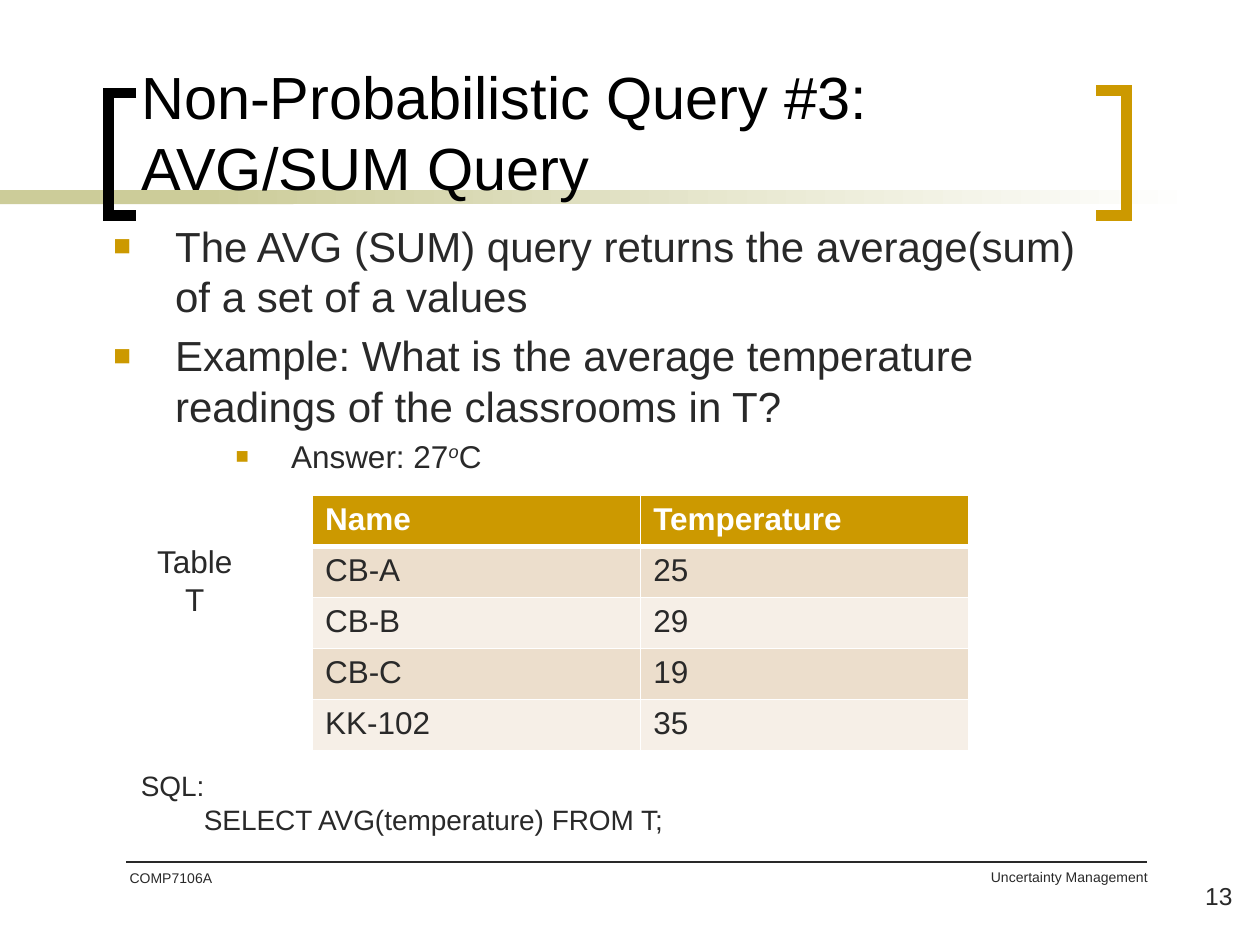
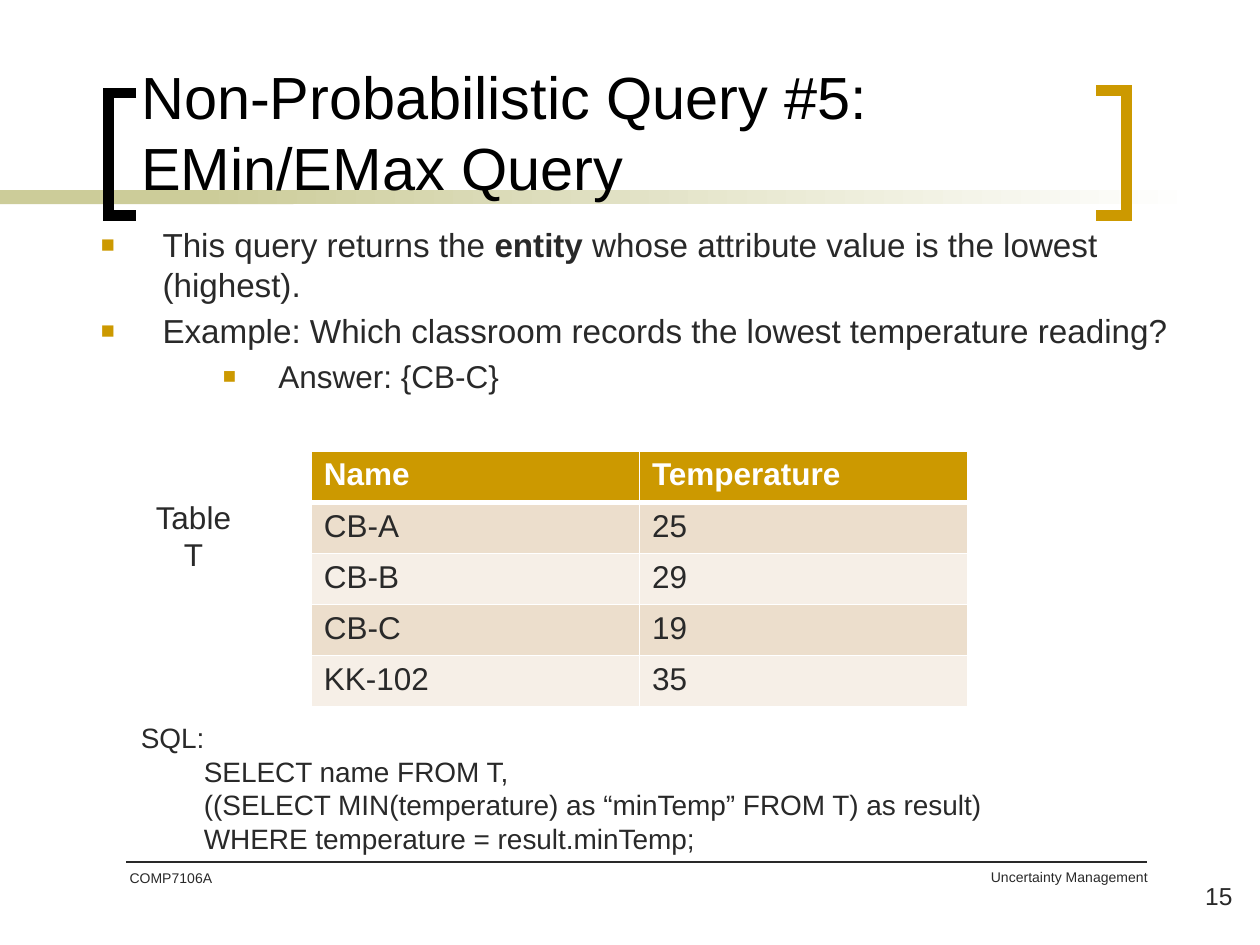
import pptx
import pptx.dml.color
import pptx.enum.shapes
import pptx.enum.text
import pptx.oxml
import pptx.oxml.ns
import pptx.util
from dataclasses import dataclass
from typing import NamedTuple

Inches = pptx.util.Inches
Pt = pptx.util.Pt
Align = pptx.enum.text.PP_ALIGN
Fit = pptx.enum.text.MSO_AUTO_SIZE
qn = pptx.oxml.ns.qn
NS = pptx.oxml.ns.nsdecls("a")

FONT = "Arial"
INK = "292929"
BLACK = "000000"
WHITE = "FFFFFF"
GOLD = "CC9900"
OLIVE = "CCCC99"
BANDS = ("F6EFE7", "ECDECC")

ROWS = (
    ("Name", "Temperature"),
    ("CB-A", "25"),
    ("CB-B", "29"),
    ("CB-C", "19"),
    ("KK-102", "35"),
)


class Box(NamedTuple):
    left: float
    top: float
    width: float
    height: float

    def place(self) -> tuple:
        return tuple(Inches(side) for side in self)


class Phrase(NamedTuple):
    text: str
    bold: bool = False
    raised: bool = False


@dataclass
class Point:
    phrases: list[Phrase]
    size: float
    nested: bool = False


@dataclass
class Label:
    box: Box
    lines: list[str]
    size: float
    align: Align = Align.LEFT
    wrap: bool = True
    fit: Fit = Fit.NONE
    indent: float = 0


@dataclass
class Bracket:
    tip: float
    edge: float
    top: float
    color: str


@dataclass
class Query:
    number: int
    name: str
    page: int
    body: Box
    points: list[Point]
    table: Box
    code_top: float
    code_height: float
    code: list[str]


BRACKETS = (Bracket(1.08, 0.86, 0.74, BLACK), Bracket(8.7, 8.94, 0.72, GOLD))
FOOTERS = (
    Label(Box(5.07, 6.84, 4.14, 0.5), ["Uncertainty Management"], 8, Align.RIGHT),
    Label(Box(0.93, 6.85, 1.17, 0.5), ["COMP7106A"], 8),
)

QUERIES = (
    Query(
        3, "AVG/SUM", 13, Box(0.8, 1.7, 8.02, 2.19),
        [
            Point([Phrase("The AVG (SUM) query returns the average(sum) of a set of a values")], 24),
            Point([Phrase("Example: What is the average temperature readings of the classrooms in T?")], 24),
            Point([Phrase("Answer: 27"), Phrase("o", raised=True), Phrase("C")], 18, True),
        ],
        Box(2.48, 3.93, 5.21, 2.03), 6.05, 0.64,
        ["SELECT AVG(temperature) FROM T;"],
    ),
    Query(
        5, "EMin/EMax", 15, Box(0.7, 1.73, 8.71, 1.67),
        [
            Point([Phrase("This query returns the "), Phrase("entity ", bold=True),
                   Phrase("whose attribute value is the lowest (highest).")], 19),
            Point([Phrase("Example: Which classroom records the lowest temperature reading?")], 19),
            Point([Phrase("Answer: {CB-C}")], 18, True),
        ],
        Box(2.47, 3.58, 5.21, 2.03), 5.67, 1.18,
        [
            "SELECT name FROM T,",
            "((SELECT MIN(temperature) as “minTemp” FROM T) as result)",
            "WHERE temperature = result.minTemp;",
        ],
    ),
)


def rgb(code: str) -> pptx.dml.color.RGBColor:
    return pptx.dml.color.RGBColor.from_string(code)


def style(font, size: float, color: str = INK, bold: bool = False) -> None:
    font.name = FONT
    font.size = Pt(size)
    font.bold = bold
    font.color.rgb = rgb(color)


def add_label(slide, label: Label) -> None:
    frame = slide.shapes.add_textbox(*label.box.place()).text_frame
    frame.word_wrap = label.wrap
    frame.auto_size = label.fit
    frame.text = "\n".join(label.lines)
    for index, para in enumerate(frame.paragraphs):
        para.alignment = label.align
        if index and label.indent:
            para._p.get_or_add_pPr().set("marL", str(Inches(label.indent)))
        for run in para.runs:
            style(run.font, label.size)


def add_band(slide, box: Box, fade: bool) -> None:
    band = slide.shapes.add_shape(pptx.enum.shapes.MSO_SHAPE.RECTANGLE, *box.place())
    band.shadow.inherit = False
    band.line.fill.background()
    if fade:
        band.fill.gradient()
        band.fill.gradient_angle = 0
        for stop, color in zip(band.fill.gradient_stops, (OLIVE, WHITE)):
            stop.color.rgb = rgb(color)
    else:
        band.fill.solid()
        band.fill.fore_color.rgb = rgb(OLIVE)


def add_bracket(slide, item: Bracket) -> None:
    tip, edge, top, base = (Inches(n) for n in (item.tip, item.edge, item.top, 1.71))
    outline = slide.shapes.build_freeform(tip, top)
    outline.add_line_segments([(edge, top), (edge, base), (tip, base)], close=False)
    shape = outline.convert_to_shape()
    shape.shadow.inherit = False
    shape.fill.background()
    shape.line.color.rgb = rgb(item.color)
    shape.line.width = Pt(6)
    shape.element.spPr.find(qn("a:ln")).append(
        pptx.oxml.parse_xml(f'<a:miter {NS} lim="800000"/>'))


def add_frame(slide) -> None:
    add_band(slide, Box(0, 1.51, 2.33, 0.11), False)
    add_band(slide, Box(1.58, 1.51, 7.92, 0.11), True)
    for item in BRACKETS:
        add_bracket(slide, item)
    for label in FOOTERS:
        add_label(slide, label)
    rule = slide.shapes.add_connector(
        pptx.enum.shapes.MSO_CONNECTOR.STRAIGHT,
        Inches(1), Inches(6.84), Inches(9.1), Inches(6.84))
    rule.line.color.rgb = rgb(INK)
    rule.line.width = Pt(1)
    rule.element.spPr.append(pptx.oxml.parse_xml(f"<a:effectLst {NS}/>"))


def set_place(holder, box: Box) -> None:
    holder.left, holder.top, holder.width, holder.height = box.place()
    holder.text_frame.word_wrap = True
    holder.text_frame.auto_size = Fit.NONE
    tree = holder.element.getparent()
    tree.append(holder.element)


def set_title(slide, query: Query) -> None:
    title = slide.shapes.title
    set_place(title, Box(1.02, 0.11, 7.83, 1.55))
    frame = title.text_frame
    frame.vertical_anchor = pptx.enum.text.MSO_ANCHOR.BOTTOM
    frame.text = f"Non-Probabilistic Query #{query.number}:\v{query.name} Query"
    para = frame.paragraphs[0]
    para.alignment = Align.LEFT
    for run in para.runs:
        style(run.font, 34, BLACK)


def add_bullet(para, nested: bool) -> None:
    margin, hang = (1.41, 0.44) if nested else (0.49, 0.49)
    props = para._p.get_or_add_pPr()
    props.set("marL", str(Inches(margin)))
    props.set("indent", str(-Inches(hang)))
    for xml in (
        f'<a:buClr {NS}><a:srgbClr val="{GOLD}"/></a:buClr>',
        f'<a:buSzPct {NS} val="70000"/>',
        f'<a:buFont {NS} typeface="{FONT}"/>',
        f'<a:buChar {NS} char="■"/>',
    ):
        props.append(pptx.oxml.parse_xml(xml))


def set_body(slide, query: Query) -> None:
    body = slide.placeholders[1]
    set_place(body, query.body)
    frame = body.text_frame
    for index, point in enumerate(query.points):
        para = frame.add_paragraph() if index else frame.paragraphs[0]
        para.level = 2 if point.nested else 0
        add_bullet(para, point.nested)
        para.space_before = Pt(0.2 * point.size if index else 0)
        for phrase in point.phrases:
            run = para.add_run()
            run.text = phrase.text
            style(run.font, point.size, bold=phrase.bold)
            if phrase.raised:
                run.font.italic = True
                run._r.get_or_add_rPr().set("baseline", "30000")


def set_borders(cell, top: float, base: float) -> None:
    props = cell._tc.get_or_add_tcPr()
    widths = {"lnL": 1, "lnR": 1, "lnT": top, "lnB": base}
    for index, (side, width) in enumerate(widths.items()):
        props.insert(index, pptx.oxml.parse_xml(
            f'<a:{side} {NS} w="{Pt(width)}"><a:solidFill>'
            f'<a:srgbClr val="{WHITE}"/></a:solidFill></a:{side}>'))


def add_grid(slide, box: Box) -> None:
    table = slide.shapes.add_table(len(ROWS), len(ROWS[0]), *box.place()).table
    for row, texts in enumerate(ROWS):
        head = row == 0
        for col, text in enumerate(texts):
            cell = table.cell(row, col)
            cell.text = text
            cell.fill.solid()
            cell.fill.fore_color.rgb = rgb(GOLD if head else BANDS[row % 2])
            set_borders(cell, 3 if row == 1 else 1, 3 if head else 1)
            run = cell.text_frame.paragraphs[0].runs[0]
            style(run.font, 18, WHITE if head else INK, head)


def add_query(deck, query: Query) -> None:
    slide = deck.slides.add_slide(deck.slide_layouts[1])
    add_frame(slide)
    set_title(slide, query)
    set_body(slide, query)
    add_grid(slide, query.table)
    for label in (
        Label(Box(9.13, 6.94, 0.75, 0.5), [str(query.page)], 14, Align.RIGHT),
        Label(Box(query.table.left - 1.34, query.table.top + 0.32, 0.81, 0.71),
              ["Table", "T"], 18, Align.CENTER, False, Fit.SHAPE_TO_FIT_TEXT),
        Label(Box(1.02, query.code_top, 7.67, query.code_height),
              ["SQL:", *query.code], 16, fit=Fit.SHAPE_TO_FIT_TEXT, indent=0.5),
    ):
        add_label(slide, label)


def main() -> None:
    deck = pptx.Presentation()
    deck.slide_width = Inches(10)
    deck.slide_height = Inches(7.5)
    for query in QUERIES:
        add_query(deck, query)
    deck.save("out.pptx")


if __name__ == "__main__":
    main()
